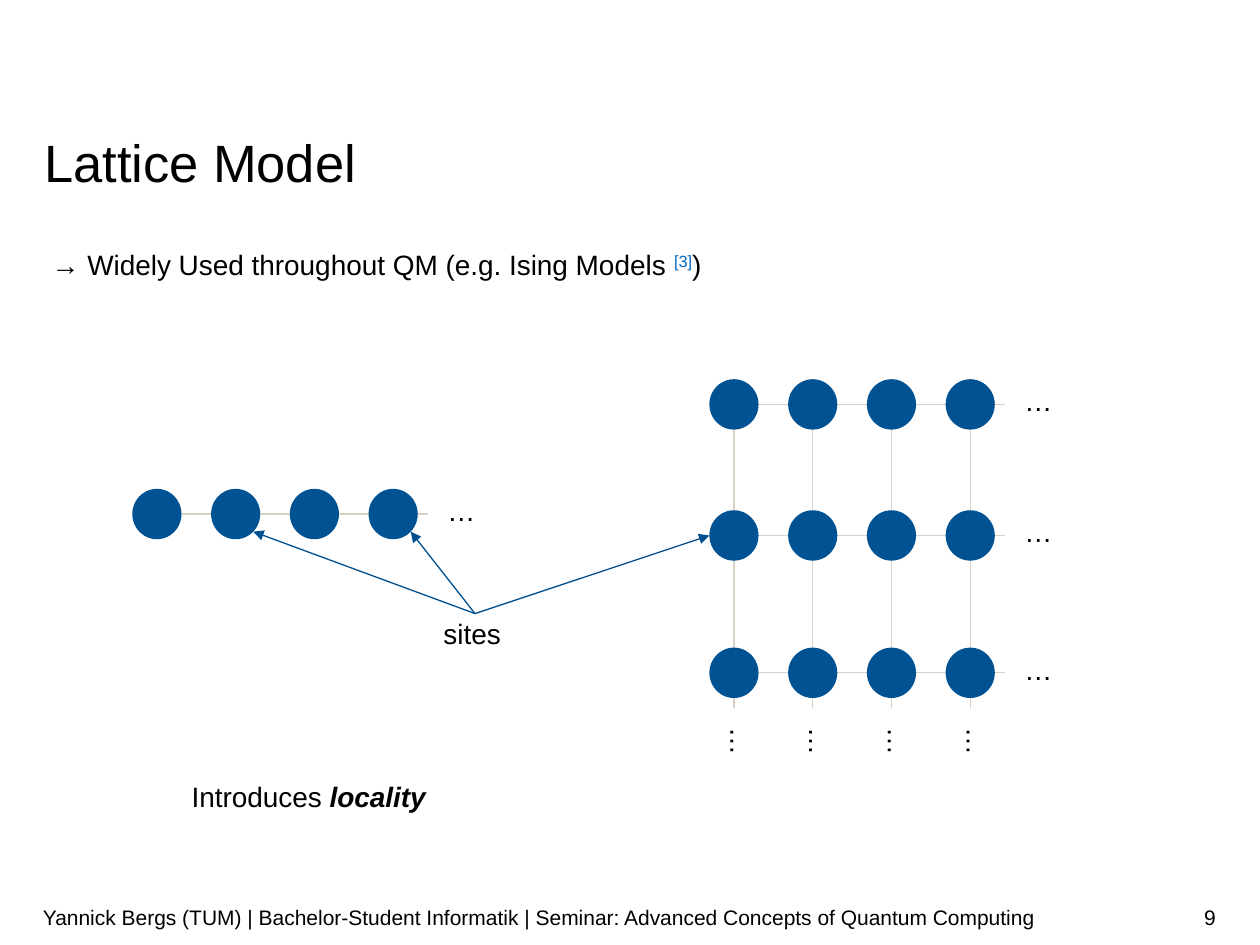
from dataclasses import dataclass

from lxml import etree
from pptx import Presentation
from pptx.dml.color import RGBColor
from pptx.enum.shapes import MSO_CONNECTOR, MSO_SHAPE
from pptx.enum.text import MSO_ANCHOR, PP_ALIGN
from pptx.oxml.ns import qn
from pptx.slide import Slide
from pptx.util import Inches, Pt

STRAIGHT = MSO_CONNECTOR.STRAIGHT
ELLIPSE = MSO_SHAPE.OVAL
LEFT, RIGHT = PP_ALIGN.LEFT, PP_ALIGN.RIGHT
TOP, MIDDLE = MSO_ANCHOR.TOP, MSO_ANCHOR.MIDDLE

WIDTH, HEIGHT = Inches(10), Inches(7.5)
# The slide is a grid of 100 columns and 75 rows.
COLUMN, ROW = WIDTH / 100, HEIGHT / 75

COLORS = {
    "text": "000000",
    "reference": "0065BD",
    "site": "005293",
    "bond": "D6D2C6",
    "arrow": "005090",
}
FONT = "Arial"
SITE_WIDTH, SITE_HEIGHT = 3.9, 4
SITE_PITCH = 6.25
SITE_COUNT = 4
BOND_OVERHANG = 2.8
DOTS_WIDTH, LINE_HEIGHT = 2.2, 2.8


@dataclass(frozen=True)
class Run:
    text: str
    color: str = "text"
    emphasis: bool = False
    superscript: bool = False


@dataclass(frozen=True)
class Label:
    runs: tuple[Run, ...]
    left: float
    top: float
    width: float
    height: float = LINE_HEIGHT
    size: float = 16
    align: PP_ALIGN = LEFT
    anchor: MSO_ANCHOR = TOP
    spacing: float | Pt = 1.14
    wrap: bool = True
    rotation: float = 0


@dataclass(frozen=True)
class Lattice:
    left: float
    row_tops: tuple[float, ...]

    def site_left(self, index: int) -> float:
        return self.left + index * SITE_PITCH

    def center_x(self, index: int) -> float:
        return self.site_left(index) + SITE_WIDTH / 2


CHAIN = Lattice(10.5, (38.8,))
SQUARE = Lattice(56.3, (30.1, 40.5, 51.4))

LABELS = (
    Label((Run("Lattice Model"),), 3.5, 10.9, 93.1, 4.5, size=30, spacing=Pt(32)),
    Label(
        (
            Run("→ Widely Used throughout QM (e.g. Ising Models "),
            Run("[3]", "reference", superscript=True),
            Run(")"),
        ),
        4.1, 19.3, 92.5, 7.8,
    ),
    Label((Run("sites"),), 35.2, 48.6, 4.6, wrap=False),
    Label((Run("Introduces "), Run("locality", emphasis=True)), 15.2, 61.5, 18.9),
    Label(
        (Run("Yannick Bergs (TUM) | Bachelor-Student Informatik | "
             "Seminar: Advanced Concepts of Quantum Computing"),),
        3.4, 70.8, 79.8, 4, size=12, anchor=MIDDLE, spacing=1.0,
    ),
    Label((Run("9"),), 74.1, 70.8, 22.4, 4, size=12, align=RIGHT,
          anchor=MIDDLE, spacing=1.0),
)

ARROW_START = (37.7, 48.7)
ARROW_ENDS = ((20.1, 42.2), (32.6, 42.2), (56.3, 42.5))


def x(columns: float) -> int:
    return round(columns * COLUMN)


def y(rows: float) -> int:
    return round(rows * ROW)


def rgb(name: str) -> RGBColor:
    return RGBColor.from_string(COLORS[name])


def add_label(slide: Slide, label: Label) -> None:
    box = slide.shapes.add_textbox(
        x(label.left), y(label.top), x(label.width), y(label.height))
    box.rotation = label.rotation
    frame = box.text_frame
    frame.word_wrap = label.wrap
    frame.vertical_anchor = label.anchor
    frame.margin_left = frame.margin_right = 0
    frame.margin_top = frame.margin_bottom = 0
    paragraph = frame.paragraphs[0]
    paragraph.alignment = label.align
    paragraph.line_spacing = label.spacing
    paragraph.font.name = FONT
    paragraph.font.size = Pt(label.size)
    for item in label.runs:
        run = paragraph.add_run()
        run.text = item.text
        run.font.color.rgb = rgb(item.color)
        if item.emphasis:
            run.font.bold = run.font.italic = True
        if item.superscript:
            run._r.get_or_add_rPr().set("baseline", "30000")


def add_line(slide: Slide, start: tuple[float, float], end: tuple[float, float],
             color: str, arrowhead: bool = False) -> None:
    line = slide.shapes.add_connector(
        STRAIGHT, x(start[0]), y(start[1]), x(end[0]), y(end[1]))
    line.line.color.rgb = rgb(color)
    line.line.width = Pt(0.75)
    if arrowhead:
        etree.SubElement(line.line._get_or_add_ln(), qn("a:tailEnd"), type="triangle")
    etree.SubElement(line._element.spPr, qn("a:effectLst"))


def add_site(slide: Slide, left: float, top: float) -> None:
    site = slide.shapes.add_shape(
        ELLIPSE, x(left), y(top), x(SITE_WIDTH), y(SITE_HEIGHT))
    site.shadow.inherit = False
    site.fill.solid()
    site.fill.fore_color.rgb = rgb("site")
    site.line.fill.background()


def add_dots(slide: Slide, left: float, top: float, rotation: float = 0) -> None:
    add_label(slide, Label((Run("…"),), left, top, DOTS_WIDTH,
                           wrap=False, rotation=rotation))


def add_lattice(slide: Slide, lattice: Lattice) -> None:
    """Draw the bonds, then the sites, then the dots that continue each line."""
    first_x = lattice.center_x(0)
    last_x = lattice.center_x(SITE_COUNT - 1) + BOND_OVERHANG
    first_top, last_top = lattice.row_tops[0], lattice.row_tops[-1]
    is_square = len(lattice.row_tops) > 1
    if is_square:
        for index in range(SITE_COUNT):
            center = lattice.center_x(index)
            add_line(slide, (center, first_top + SITE_HEIGHT / 2),
                     (center, last_top + SITE_HEIGHT / 2 + BOND_OVERHANG), "bond")
            add_dots(slide, center - 0.2, last_top + 6, rotation=90)
    for top in lattice.row_tops:
        center = top + SITE_HEIGHT / 2
        add_line(slide, (first_x, center), (last_x, center), "bond")
        for index in range(SITE_COUNT):
            add_site(slide, lattice.site_left(index), top)
        add_dots(slide, lattice.site_left(SITE_COUNT), top)


def main() -> None:
    presentation = Presentation()
    presentation.slide_width, presentation.slide_height = WIDTH, HEIGHT
    slide = presentation.slides.add_slide(presentation.slide_layouts[6])
    for lattice in (CHAIN, SQUARE):
        add_lattice(slide, lattice)
    for end in ARROW_ENDS:
        add_line(slide, ARROW_START, end, "arrow", arrowhead=True)
    for label in LABELS:
        add_label(slide, label)
    presentation.save("out.pptx")


if __name__ == "__main__":
    main()
